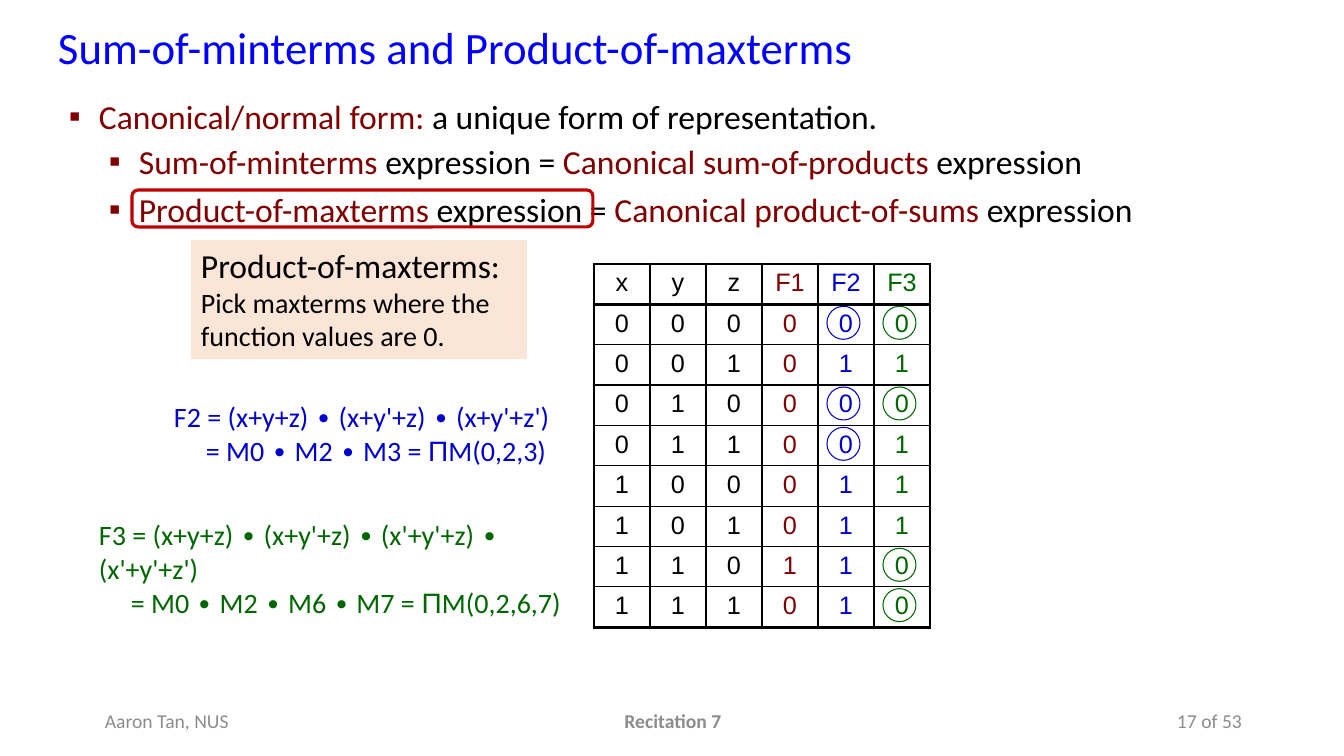
from dataclasses import dataclass

from lxml.etree import SubElement
from pptx import Presentation
from pptx.dml.color import RGBColor
from pptx.enum.shapes import MSO_SHAPE as Shape
from pptx.enum.text import MSO_ANCHOR as Anchor, PP_ALIGN as Align
from pptx.oxml.ns import qn
from pptx.util import Emu, Pt


@dataclass(frozen=True)
class Theme:
    text_font: str = "Calibri"
    table_font: str = "Arial"
    black: str = "000000"
    title: str = "0000FF"
    maroon: str = "800000"
    blue: str = "0000CC"
    green: str = "006600"
    red: str = "C00000"
    gray: str = "8C8C8C"
    peach: str = "FBE5D6"
    title_size: int = 32
    body_size: int = 24
    formula_size: int = 20
    table_size: int = 18
    footer_size: int = 14
    thick: float = 2.25
    medium: float = 1
    thin: float = 0.75


def px(length):
    return Emu(round(length * 914400 / 100.8))


class SlideBuilder:
    def __init__(self, deck, theme):
        self.theme = theme
        self.page = deck.slides.add_slide(deck.slide_layouts[6])

    def style(self, span, size, color, font=None, bold=False):
        span.font.name = font or self.theme.text_font
        span.font.size = Pt(size)
        span.font.bold = bold
        span.font.color.rgb = RGBColor.from_string(color)

    def spans(self, para, parts, size):
        """Add runs given as (text, color) or (text, color, font)."""
        for text, color, *font in parts:
            span = para.add_run()
            span.text = text
            self.style(span, size, color, *font)

    def indent(self, para, margin, first=0):
        properties = para._p.get_or_add_pPr()
        properties.set("marL", str(px(margin)))
        properties.set("indent", str(px(first)))
        return properties

    def text_box(self, left, top, width, height):
        box = self.page.shapes.add_textbox(px(left), px(top), px(width), px(height))
        box.text_frame.word_wrap = True
        return box.text_frame

    def label(self, place, text, size, color, align=Align.LEFT, anchor=Anchor.TOP, bold=False):
        frame = self.text_box(*place)
        frame.vertical_anchor = anchor
        frame.text = text
        para = frame.paragraphs[0]
        para.alignment = align
        self.style(para.runs[0], size, color, bold=bold)

    def bullets(self, place, items):
        frame = self.text_box(*place)
        for number, (level, space, parts) in enumerate(items):
            para = frame.add_paragraph() if number else frame.paragraphs[0]
            para.level = level
            para.space_before = Pt(space)
            properties = self.indent(para, 30 + 40 * level, -30)
            SubElement(properties, qn("a:buFont"), typeface=self.theme.table_font)
            SubElement(properties, qn("a:buChar"), char="▪")
            self.spans(para, parts, self.theme.body_size)

    def formula(self, place, color, product, maxterms, indices):
        frame = self.text_box(*place)
        size = self.theme.formula_size
        self.spans(frame.paragraphs[0], [(product, color)], size)
        para = frame.add_paragraph()
        self.indent(para, 32)
        self.spans(para, [(f"= {maxterms} = ", color),
                          ("Π", color, self.theme.table_font),
                          (f"M({indices})", color)], size)

    def shape(self, kind, place, line=None, weight=1, fill=None):
        shape = self.page.shapes.add_shape(kind, *map(px, place))
        shape.shadow.inherit = False
        if fill:
            shape.fill.solid()
            shape.fill.fore_color.rgb = RGBColor.from_string(fill)
        else:
            shape.fill.background()
        if line:
            shape.line.color.rgb = RGBColor.from_string(line)
            shape.line.width = Pt(weight)
        else:
            shape.line.fill.background()
        return shape

    def note(self, place, lines):
        frame = self.shape(Shape.RECTANGLE, place, fill=self.theme.peach).text_frame
        frame.word_wrap = True
        frame.vertical_anchor = Anchor.TOP
        frame.text = "\n".join(text for text, _ in lines)
        for para, (_, size) in zip(frame.paragraphs, lines):
            para.alignment = Align.LEFT
            self.style(para.runs[0], size, self.theme.black)

    def border(self, cell, side, weight):
        line = SubElement(cell._tc.get_or_add_tcPr(), qn(f"a:ln{side}"), w=str(Pt(weight)))
        fill = SubElement(line, qn("a:solidFill"))
        SubElement(fill, qn("a:srgbClr"), val=self.theme.black)

    def table(self, place, rows, colors, thick_columns, thick_rows):
        left, top, width, height = place
        theme = self.theme
        table = self.page.shapes.add_table(len(rows), len(colors), *map(px, place)).table
        table.first_row = table.horz_banding = False
        for column in table.columns:
            column.width = px(width / len(colors))
        for row in table.rows:
            row.height = px(height / len(rows))
        for r, values in enumerate(rows):
            for c, (value, color) in enumerate(zip(values, colors)):
                cell = table.cell(r, c)
                cell.text = value
                para = cell.text_frame.paragraphs[0]
                para.alignment = Align.CENTER
                self.style(para.runs[0], theme.table_size, color, theme.table_font)
                edges = (("L", c, thick_columns), ("R", c + 1, thick_columns),
                         ("T", r, thick_rows), ("B", r + 1, thick_rows))
                for side, edge, heavy in edges:
                    self.border(cell, side, theme.thick if edge in heavy else theme.medium)
                cell.fill.background()


def main():
    deck = Presentation()
    deck.slide_width, deck.slide_height = px(1344), px(756)
    theme = Theme()
    slide = SlideBuilder(deck, theme)
    black, maroon, blue, green = theme.black, theme.maroon, theme.blue, theme.green

    # Title and definitions
    slide.label((48, 15, 1224, 77), "Sum-of-minterms and Product-of-maxterms",
                theme.title_size, theme.title)
    definitions = [(0, 0, [("Canonical/normal form: ", maroon),
                           ("a unique form of representation.", black)])]
    for space, name, canonical in ((3, "Sum-of-minterms", "sum-of-products"),
                                   (6, "Product-of-maxterms", "product-of-sums")):
        definitions.append((1, space, [(f"{name} ", maroon), ("expression =", black),
                                       (f" Canonical {canonical} ", maroon),
                                       ("expression", black)]))
    slide.bullets((59, 91, 1237, 149), definitions)

    # Truth table
    outputs = {"F1": "00000010", "F2": "01001111", "F3": "01011100"}
    rows = [["x", "y", "z", *outputs]]
    for minterm in range(8):
        rows.append([*f"{minterm:03b}", *(bits[minterm] for bits in outputs.values())])
    left, top, width, height = grid = (594, 264, 336, 363)
    colors = [black] * 3 + [maroon, blue, green]
    slide.table(grid, rows, colors, thick_columns=(0, 3, 4, 5, 6), thick_rows=(0, 1, 9))

    # Highlighted term and circled zeros of F2 and F3
    slide.shape(Shape.ROUNDED_RECTANGLE, (132, 190, 461, 37), theme.red, theme.thick)
    column_width, row_height = width / len(colors), height / len(rows)
    for column in (4, 5):
        for number, row in enumerate(rows):
            if row[column] == "0":
                place = (left + column * column_width + 9, top + number * row_height + 2, 33, 33)
                slide.shape(Shape.OVAL, place, colors[column], theme.thin)

    # Rule and resulting formulas
    slide.note((191, 240, 336, 119),
               [("Product-of-maxterms:", theme.body_size),
                ("Pick maxterms where the function values are 0.", theme.formula_size)])
    slide.formula((164, 395, 408, 78), blue, "F2 = (x+y+z) ∙ (x+y'+z) ∙ (x+y'+z')",
                  "M0 ∙ M2 ∙ M3", "0,2,3")
    slide.formula((89, 513, 517, 112), green,
                  "F3 = (x+y+z) ∙ (x+y'+z) ∙ (x'+y'+z) ∙ (x'+y'+z')",
                  "M0 ∙ M2 ∙ M6 ∙ M7", "0,2,6,7")

    # Footer
    for x, span_width, text, align, bold in ((95, 302, "Aaron Tan, NUS", Align.LEFT, False),
                                             (446, 454, "Recitation 7", Align.CENTER, True),
                                             (950, 302, "17 of 53", Align.RIGHT, False)):
        slide.label((x, 701, span_width, 40), text, theme.footer_size, theme.gray,
                    align, Anchor.MIDDLE, bold)

    deck.save("out.pptx")


if __name__ == "__main__":
    main()
